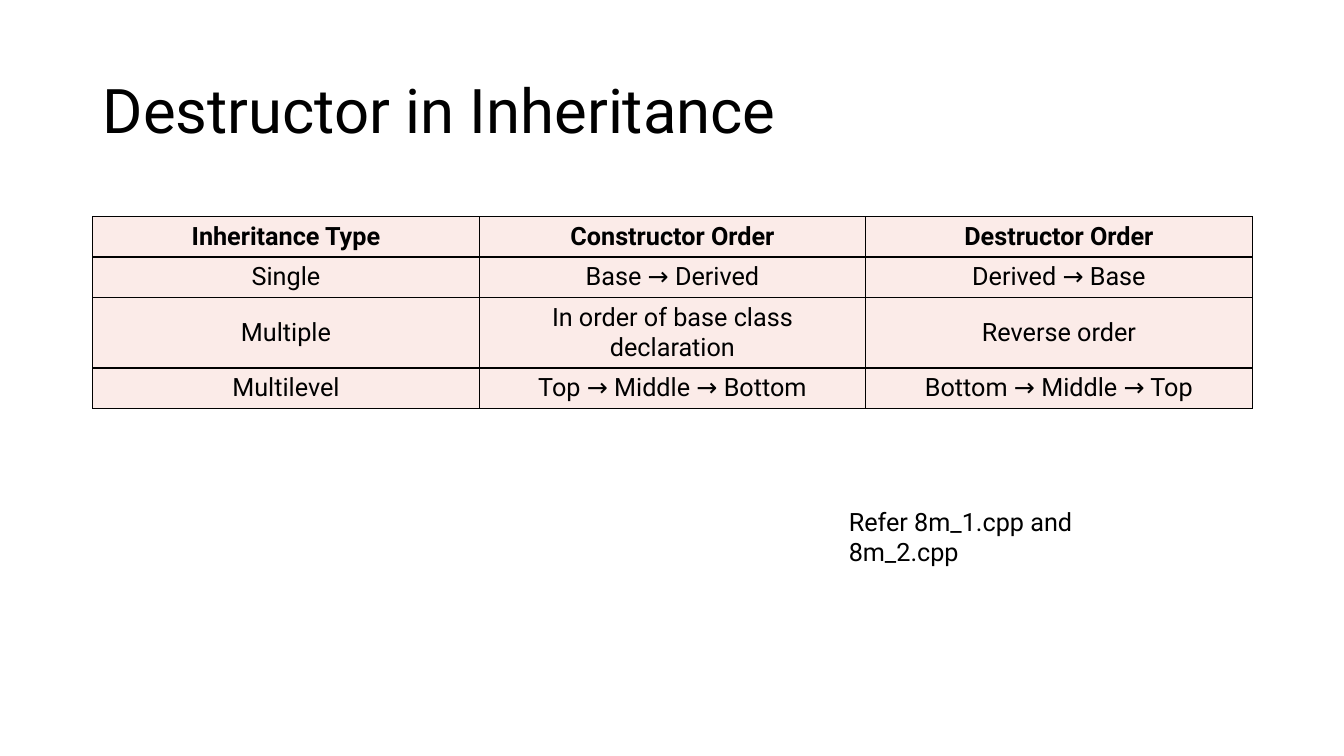
from lxml import etree
from pptx import Presentation
from pptx.dml.color import RGBColor
from pptx.enum import text
from pptx.oxml import ns
from pptx.util import Inches, Pt

FONT = "Roboto"
BLACK, PINK = "000000", "FBEBE8"
TITLE = "Destructor in Inheritance"
NOTE = "Refer 8m_1.cpp and 8m_2.cpp"
ORDERS = [
    ("Inheritance Type", "Constructor Order", "Destructor Order"),
    ("Single", "Base → Derived", "Derived → Base"),
    ("Multiple", "In order of base class declaration", "Reverse order"),
    ("Multilevel", "Top → Middle → Bottom", "Bottom → Middle → Top"),
]
ROW_HEIGHTS = [0.39, 0.39, 0.69, 0.39]
LEFT, WIDTH = 0.92, 11.5


def color(value):
    return RGBColor.from_string(value)


def write(frame, words, size, bold=False):
    frame.text = words
    frame.word_wrap = True
    para = frame.paragraphs[0]
    font = para.runs[0].font
    font.name, font.size, font.bold = FONT, Pt(size), bold
    font.color.rgb = color(BLACK)
    return para


def add_text(page, words, size, left, top, width, height):
    box = page.shapes.add_textbox(*map(Inches, (left, top, width, height)))
    return box.text_frame, write(box.text_frame, words, size)


def add_borders(cell):
    """Draw a 1 pt line on each side; lines must precede the cell fill."""
    properties = cell._tc.get_or_add_tcPr()
    for index, side in enumerate(("lnL", "lnR", "lnT", "lnB")):
        line = etree.Element(ns.qn(f"a:{side}"), w=str(Pt(1)))
        fill = etree.SubElement(line, ns.qn("a:solidFill"))
        etree.SubElement(fill, ns.qn("a:srgbClr"), val=BLACK)
        properties.insert(index, line)


def add_orders(page):
    grid = page.shapes.add_table(
        len(ORDERS), len(ORDERS[0]), Inches(LEFT), Inches(2.15),
        Inches(WIDTH), Inches(sum(ROW_HEIGHTS))).table
    for row, height in zip(grid.rows, ROW_HEIGHTS):
        row.height = Inches(height)
    for r, entries in enumerate(ORDERS):
        for c, words in enumerate(entries):
            cell = grid.cell(r, c)
            cell.fill.solid()
            cell.fill.fore_color.rgb = color(PINK)
            cell.vertical_anchor = text.MSO_ANCHOR.MIDDLE
            para = write(cell.text_frame, words, 18, bold=r == 0)
            para.alignment = text.PP_ALIGN.CENTER
            add_borders(cell)


def main():
    deck = Presentation()
    deck.slide_width, deck.slide_height = Inches(13.33), Inches(7.5)
    page = deck.slides.add_slide(deck.slide_layouts[6])
    frame, para = add_text(page, TITLE, 44, LEFT, 0.4, WIDTH, 1.45)
    frame.vertical_anchor = text.MSO_ANCHOR.MIDDLE
    para.line_spacing = 0.9
    add_orders(page)
    frame, para = add_text(page, NOTE, 18, 8.32, 4.97, 2.43, 0.71)
    frame.auto_size = text.MSO_AUTO_SIZE.SHAPE_TO_FIT_TEXT
    deck.save("out.pptx")


if __name__ == "__main__":
    main()
